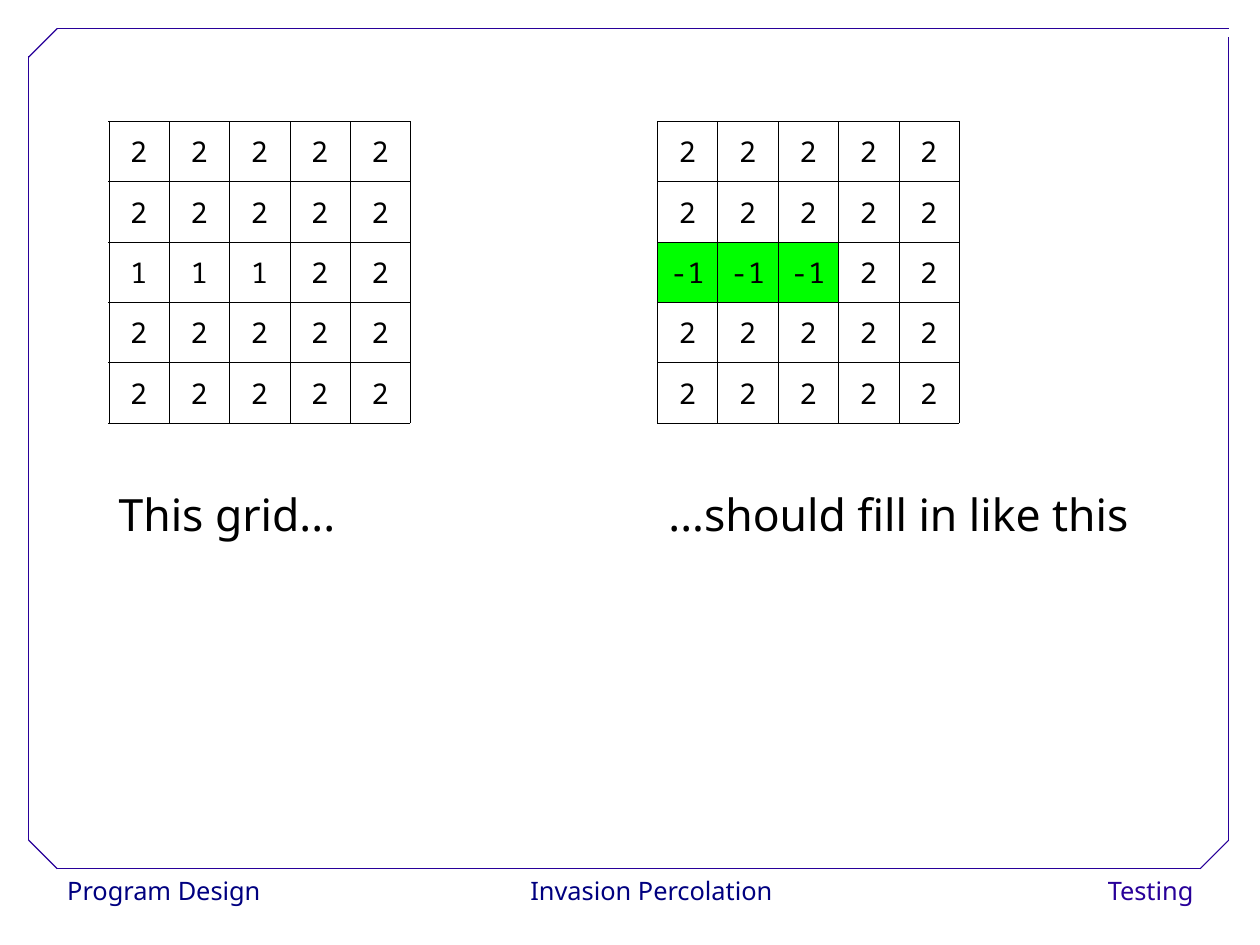
from dataclasses import dataclass

import lxml.etree
import pptx
import pptx.dml.color
import pptx.enum.shapes
import pptx.enum.text
import pptx.oxml
import pptx.oxml.ns
import pptx.util

RGBColor = pptx.dml.color.RGBColor
Inches = pptx.util.Inches
Align = pptx.enum.text.PP_ALIGN

BLACK = RGBColor(0x00, 0x00, 0x00)
WHITE = RGBColor(0xFF, 0xFF, 0xFF)
NAVY = RGBColor(0x00, 0x00, 0x80)
INDIGO = RGBColor(0x28, 0x00, 0x99)
GREEN = RGBColor(0x00, 0xFF, 0x00)

SANS = "Noto Sans"
MONO = "Noto Sans Mono"
SIDES = ("a:lnL", "a:lnR", "a:lnT", "a:lnB")
COUNT = 5
TOP = 1.06
SPAN = 2.64


@dataclass
class Footer:
    text: str
    left: float
    width: float
    align: Align
    color: RGBColor


@dataclass
class Edge:
    x1: float
    y1: float
    x2: float
    y2: float


@dataclass
class Grid:
    left: float
    middle: tuple[str, ...]
    label: str
    label_left: float


FOOTERS = (
    Footer("Program Design", 0.49, 1.8, Align.LEFT, NAVY),
    Footer("Invasion Percolation", 4.58, 2.24, Align.CENTER, NAVY),
    Footer("Testing", 9.14, 1.4, Align.RIGHT, INDIGO),
)
EDGES = (
    Edge(0.5, 7.6, 10.5, 7.6),
    Edge(0.25, 7.35, 0.25, 0.49),
    Edge(0.5, 0.25, 10.75, 0.25),
    Edge(10.75, 7.35, 10.75, 0.32),
    Edge(0.25, 0.5, 0.5, 0.25),
    Edge(10.5, 7.6, 10.75, 7.35),
    Edge(0.25, 7.35, 0.5, 7.6),
)
GRIDS = (
    Grid(0.95, ("1", "1", "1", "2", "2"), "This grid...", 0.94),
    Grid(5.75, ("-1", "-1", "-1", "2", "2"), "...should fill in like this", 5.75),
)


def style(line, size: float, face: str, color: RGBColor, align: Align, space: float) -> None:
    line.alignment = align
    line.line_spacing = space
    line.font.size = pptx.util.Pt(size)
    line.font.name = face
    line.font.color.rgb = color


def draw_footer(slide, item: Footer) -> None:
    shape = slide.shapes.add_shape(
        pptx.enum.shapes.MSO_SHAPE.RECTANGLE,
        Inches(item.left), Inches(7.6), Inches(item.width), Inches(0.4),
    )
    shape.shadow.inherit = False
    shape.fill.solid()
    shape.fill.fore_color.rgb = WHITE
    shape.line.fill.background()
    frame = shape.text_frame
    frame.word_wrap = False
    frame.vertical_anchor = pptx.enum.text.MSO_ANCHOR.TOP
    frame.text = item.text
    style(frame.paragraphs[0], 16, SANS, item.color, item.align, 1.02)


def draw_edge(slide, item: Edge) -> None:
    line = slide.shapes.add_connector(
        pptx.enum.shapes.MSO_CONNECTOR.STRAIGHT,
        Inches(item.x1), Inches(item.y1), Inches(item.x2), Inches(item.y2),
    )
    line.line.color.rgb = INDIGO
    line.line.width = pptx.util.Pt(0.75)
    lxml.etree.SubElement(line._element.spPr, pptx.oxml.ns.qn("a:effectLst"))


def add_border(cell) -> None:
    props = cell._tc.get_or_add_tcPr()
    for place, side in enumerate(SIDES):
        props.insert(place, pptx.oxml.parse_xml(
            f'<{side} {pptx.oxml.ns.nsdecls("a")} w="{pptx.util.Pt(0.06)}">'
            f'<a:solidFill><a:srgbClr val="{BLACK}"/></a:solidFill></{side}>'
        ))


def fill_cell(cell, value: str) -> None:
    cell.text = value
    cell.vertical_anchor = pptx.enum.text.MSO_ANCHOR.MIDDLE
    if value == "-1":
        cell.fill.solid()
        cell.fill.fore_color.rgb = GREEN
    else:
        cell.fill.background()
    add_border(cell)
    style(cell.text_frame.paragraphs[0], 18, MONO, BLACK, Align.CENTER, 1.02)


def draw_grid(slide, item: Grid) -> None:
    table = slide.shapes.add_table(
        COUNT, COUNT, Inches(item.left), Inches(TOP), Inches(SPAN), Inches(SPAN)
    ).table
    table.first_row = False
    table.horz_banding = False
    for column in table.columns:
        column.width = Inches(SPAN / COUNT)
    plain = ("2",) * COUNT
    values = (plain, plain, item.middle, plain, plain)
    for row, texts in zip(table.rows, values):
        row.height = Inches(SPAN / COUNT)
        for cell, value in zip(row.cells, texts):
            fill_cell(cell, value)


def draw_label(slide, item: Grid) -> None:
    box = slide.shapes.add_textbox(
        Inches(item.label_left), Inches(3.98), Inches(4.86), Inches(0.8)
    )
    frame = box.text_frame
    frame.word_wrap = True
    frame.auto_size = pptx.enum.text.MSO_AUTO_SIZE.SHAPE_TO_FIT_TEXT
    frame.text = item.label
    style(frame.paragraphs[0], 28, SANS, BLACK, Align.LEFT, 1.5)


def main() -> None:
    deck = pptx.Presentation()
    deck.slide_width = pptx.util.Cm(28)
    deck.slide_height = pptx.util.Cm(21)
    slide = deck.slides.add_slide(deck.slide_layouts[6])
    for footer in FOOTERS:
        draw_footer(slide, footer)
    for edge in EDGES:
        draw_edge(slide, edge)
    for grid in GRIDS:
        draw_grid(slide, grid)
        draw_label(slide, grid)
    deck.save("out.pptx")


if __name__ == "__main__":
    main()
